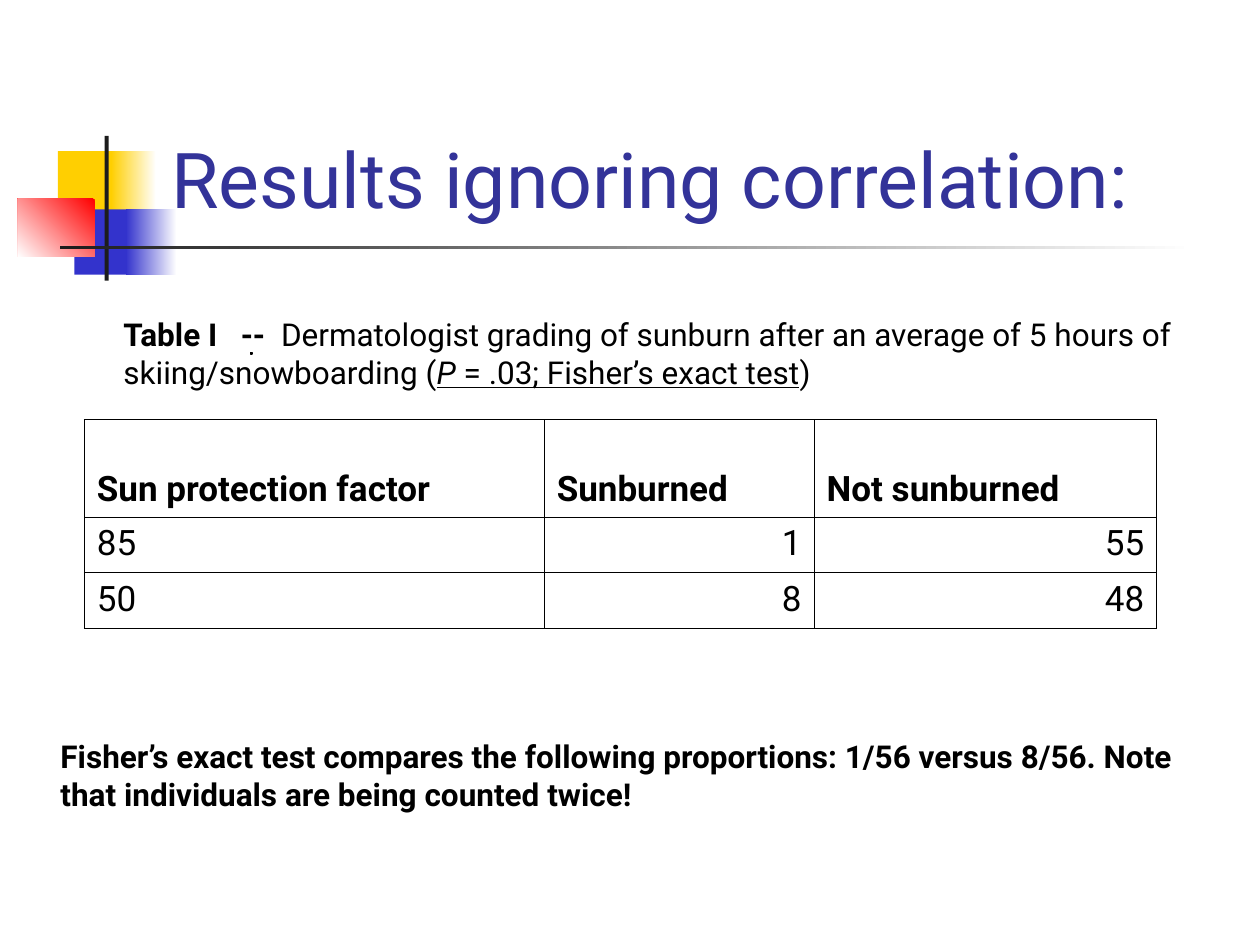
from lxml import etree
from pptx import Presentation, util as u
from pptx.dml.color import RGBColor
from pptx.enum import shapes, text
from pptx.oxml.ns import qn

COLORS = {"ink": "000000", "title": "333399", "yellow": "FFCF01", "blue": "3333CC",
          "red": "FF0000", "bar": "1C1C1C", "white": "FFFFFF", "dot": "00E4A8"}


class SlideBuilder:
    """Holds the text style and the slide being built."""

    def __init__(self, slide, font="Roboto"):
        self.slide = slide
        self.font = font

    def color(self, name):
        return RGBColor.from_string(COLORS[name])

    def place(self, box):
        return [u.Cm(length) for length in box]

    def block(self, box, *fills, angle=0, outline=None):
        block = self.slide.shapes.add_shape(shapes.MSO_SHAPE.RECTANGLE, *self.place(box))
        block.shadow.inherit = False
        if len(fills) == 1:
            block.fill.solid()
            block.fill.fore_color.rgb = self.color(fills[0])
        else:
            block.fill.gradient()
            block.fill.gradient_angle = angle
            for stop, name in zip(block.fill.gradient_stops, fills):
                stop.color.rgb = self.color(name)
        if outline:
            block.line.color.rgb = self.color(outline)
            block.line.width = u.Pt(0.75)
        else:
            block.line.fill.background()

    def run(self, paragraph, words, size, color="ink", bold=False, italic=False, underline=False):
        run = paragraph.add_run()
        run.text = words
        font = run.font
        font.name, font.size, font.bold = self.font, u.Pt(size), bold
        font.italic, font.underline = italic, underline
        font.color.rgb = self.color(color)

    def text(self, box, runs, size, anchor, insets=(0.38, 0, 0, 0), color="ink"):
        frame = self.slide.shapes.add_textbox(*self.place(box)).text_frame
        frame.word_wrap = True
        frame.vertical_anchor = anchor
        (frame.margin_left, frame.margin_top,
         frame.margin_right, frame.margin_bottom) = self.place(insets)
        for words, style in runs:
            self.run(frame.paragraphs[0], words, size, color, **style)

    def border(self, cell, width=0.45):
        properties = cell._tc.get_or_add_tcPr()
        for side in ("lnL", "lnR", "lnT", "lnB"):
            line = etree.SubElement(properties, qn(f"a:{side}"), w=str(u.Pt(width)))
            fill = etree.SubElement(line, qn("a:solidFill"))
            etree.SubElement(fill, qn("a:srgbClr"), val=COLORS["ink"])

    def table(self, corner, widths, heights, rows, size):
        box = (*corner, sum(widths), sum(heights))
        table = self.slide.shapes.add_table(len(rows), len(widths), *self.place(box)).table
        table.horz_banding = False
        for column, width in zip(table.columns, widths):
            column.width = u.Cm(width)
        for r, (row, height) in enumerate(zip(rows, heights)):
            table.rows[r].height = u.Cm(height)
            for c, words in enumerate(row):
                cell = table.cell(r, c)
                self.border(cell)
                cell.fill.background()
                cell.vertical_anchor = text.MSO_ANCHOR.TOP if r else text.MSO_ANCHOR.BOTTOM
                paragraph = cell.text_frame.paragraphs[0]
                if r and c:
                    paragraph.alignment = text.PP_ALIGN.RIGHT
                self.run(paragraph, words, size, bold=r == 0)


def main():
    deck = Presentation()
    deck.slide_width, deck.slide_height = u.Cm(25.4), u.Cm(19.05)
    page = SlideBuilder(deck.slides.add_slide(deck.slide_layouts[6]))

    page.block((1.17, 3.05, 1.22, 1.32), "yellow")
    page.block((2.24, 3.05, 0.91, 1.32), "white", "yellow", angle=180)
    page.block((1.5, 4.22, 1.17, 1.32), "blue")
    page.block((2.54, 4.22, 1.02, 1.32), "white", "blue", angle=180)
    page.block((0.36, 4.01, 1.55, 1.17), "red", "white", angle=225)
    page.block((2.11, 2.74, 0.08, 2.92), "bar")
    page.block((1.22, 4.95, 22.86, 0.08), "white", "bar", angle=180)

    page.text((3.2, 0.58, 21.64, 4.06), [("Results ignoring correlation:", {})], 44,
              text.MSO_ANCHOR.BOTTOM, (0.25, 0.13, 0.25, 0.13), "title")
    caption = [
        ("Table I   -- ", {"bold": True}),
        (" Dermatologist grading of sunburn after an average of 5 hours of skiing/snowboarding (", {}),
        ("P", {"italic": True, "underline": True}),
        (" = .03; Fisher’s exact test", {"underline": True}),
        (")", {}),
    ]
    page.text((2.11, 6.35, 23.93, 2.29), caption, 18, text.MSO_ANCHOR.TOP)

    results = [("Sun protection factor", "Sunburned", "Not sunburned"),
               ("85", "1", "55"),
               ("50", "8", "48")]
    page.table((1.7, 8.46), (9.27, 5.44, 6.91), (1.96, 1.12, 1.12), results, 20)
    page.block((5.05, 7.11, 0.03, 0.03), "dot", outline="ink")

    note = ("Fisher’s exact test compares the following proportions: 1/56 versus 8/56. "
            "Note that individuals are being counted twice!")
    page.text((0.84, 14.86, 23.93, 1.52), [(note, {"bold": True})], 18, text.MSO_ANCHOR.MIDDLE)

    deck.save("out.pptx")


if __name__ == "__main__":
    main()
